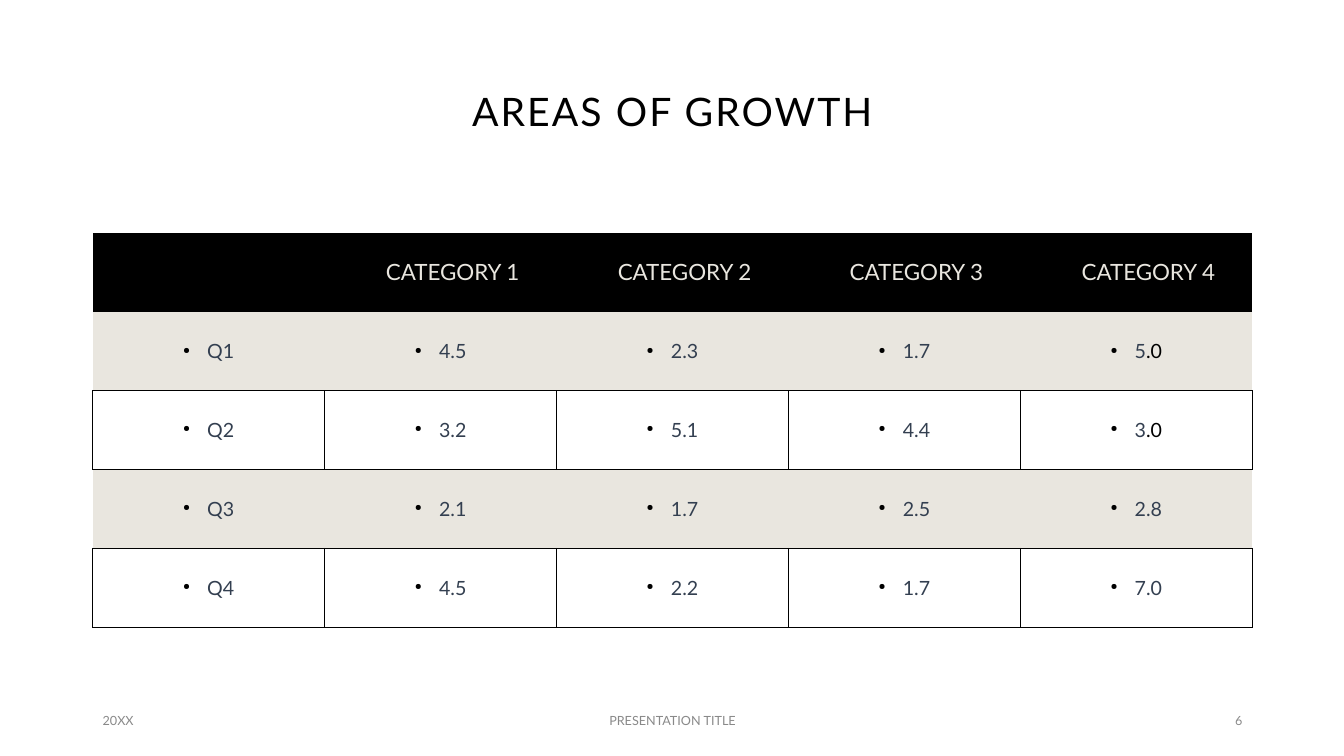
from collections import namedtuple
from dataclasses import dataclass

from lxml.etree import SubElement
from pptx import Presentation
from pptx.dml.color import RGBColor
from pptx.enum.text import MSO_ANCHOR as Anchor, PP_ALIGN as Align
from pptx.oxml.ns import qn
from pptx.util import Inches, Pt

Box = namedtuple("Box", "left top width height")


@dataclass(frozen=True)
class Theme:
    """Colours, font and type sizes of the deck."""
    font: str = "Lato"
    black: str = "000000"
    sand: str = "E9E6DF"
    slate: str = "333F50"
    grey: str = "898989"
    title: int = 28
    header: int = 16
    body: int = 14
    footer: int = 9
    rule: float = 0.5


THEME = Theme()
WIDTH, HEIGHT = 13.33, 7.5
MARGIN, CONTENT = 0.92, 11.5
TITLE_BOX = Box(MARGIN, 0.4, CONTENT, 1.45)
TABLE_BOX = Box(MARGIN, 2.31, CONTENT, 3.91)
FOOTER_BOX = Box(MARGIN, 6.95, CONTENT, 0.4)
INDENT = Inches(0.24)

ROWS = [
    ["", "CATEGORY 1", "CATEGORY 2", "CATEGORY 3", "CATEGORY 4"],
    ["Q1", "4.5", "2.3", "1.7", "5|.0"],
    ["Q2", "3.2", "5.1", "4.4", "3|.0"],
    ["Q3", "2.1", "1.7", "2.5", "2.8"],
    ["Q4", "4.5", "2.2", "1.7", "7.0"],
]


def add_span(para, text, size, colour):
    """Add one formatted run to a paragraph."""
    span = para.add_run()
    span.text = text
    for name, value in {"name": THEME.font, "size": Pt(size), "bold": False}.items():
        setattr(span.font, name, value)
    span.font.color.rgb = RGBColor.from_string(colour)
    return span


def add_text(page, box, text, size, colour, align):
    """Place a line of text, centred vertically in its box."""
    frame = page.shapes.add_textbox(*map(Inches, box)).text_frame
    for name, value in {"word_wrap": True, "vertical_anchor": Anchor.MIDDLE}.items():
        setattr(frame, name, value)
    para = frame.paragraphs[0]
    para.alignment = align
    return para, add_span(para, text, size, colour)


def add_title(page, box):
    """Place the letterspaced slide title."""
    para, span = add_text(page, box, "AREAS OF GROWTH", THEME.title, THEME.black, Align.CENTER)
    para.line_spacing = 0.9
    span.font._element.set("spc", "150")


def add_bullet(para):
    """Give a paragraph a small black bullet with a hanging indent."""
    props = para._p.get_or_add_pPr()
    props.set("marL", str(INDENT))
    props.set("indent", str(-INDENT))
    colour = SubElement(props, qn("a:buClr"))
    SubElement(colour, qn("a:srgbClr"), val=THEME.black)
    SubElement(props, qn("a:buSzPct"), val="45000")
    SubElement(props, qn("a:buChar"), char="●")


def set_borders(cell, visible):
    """Draw a thin rule on each visible side and clear the others."""
    props = cell._tc.get_or_add_tcPr()
    for place, side in enumerate(("lnL", "lnR", "lnT", "lnB")):
        line = SubElement(props, qn(f"a:{side}"), w=str(Pt(THEME.rule)))
        if side in visible:
            fill = SubElement(line, qn("a:solidFill"))
            SubElement(fill, qn("a:srgbClr"), val=THEME.black)
        else:
            SubElement(line, qn("a:noFill"))
        props.remove(line)
        props.insert(place, line)


def fill_cell(cell, text, row):
    """Write and style one cell according to its row."""
    cell.vertical_anchor = Anchor.MIDDLE
    header, ruled = row == 0, row > 0 and row % 2 == 0
    if ruled:
        cell.fill.background()
    else:
        cell.fill.solid()
        cell.fill.fore_color.rgb = RGBColor.from_string(THEME.black if header else THEME.sand)
    sides = {"lnL", "lnR"} if ruled else set()
    sides |= {"lnT"} if row > 1 else set()
    sides |= {"lnB"} if row > 0 else set()
    set_borders(cell, sides)
    if not text:
        return
    para = cell.text_frame.paragraphs[0]
    para.alignment = Align.CENTER
    add_bullet(para)
    size = THEME.header if header else THEME.body
    colours = (THEME.sand if header else THEME.slate, THEME.black)
    for part, colour in zip(text.split("|"), colours):
        add_span(para, part, size, colour)


def add_growth_table(page, box):
    """Place the quarterly table on an even grid."""
    table = page.shapes.add_table(len(ROWS), len(ROWS[0]), *map(Inches, box)).table
    for name in ("first_row", "horz_banding"):
        setattr(table, name, False)
    for row, texts in enumerate(ROWS):
        for column, text in enumerate(texts):
            fill_cell(table.cell(row, column), text, row)


def add_footer(page, box):
    """Place the date, deck name and page number along the bottom."""
    side, middle = 3, 4.5
    items = (
        ("20XX", 0, side, Align.LEFT),
        ("PRESENTATION TITLE", (box.width - middle) / 2, middle, Align.CENTER),
        ("6", box.width - side, side, Align.RIGHT),
    )
    for text, offset, width, align in items:
        place = Box(box.left + offset, box.top, width, box.height)
        add_text(page, place, text, THEME.footer, THEME.grey, align)


def main():
    """Build and save the deck."""
    deck = Presentation()
    deck.slide_width, deck.slide_height = Inches(WIDTH), Inches(HEIGHT)
    page = deck.slides.add_slide(deck.slide_layouts[6])
    add_title(page, TITLE_BOX)
    add_growth_table(page, TABLE_BOX)
    add_footer(page, FOOTER_BOX)
    deck.save("out.pptx")


if __name__ == "__main__":
    main()
